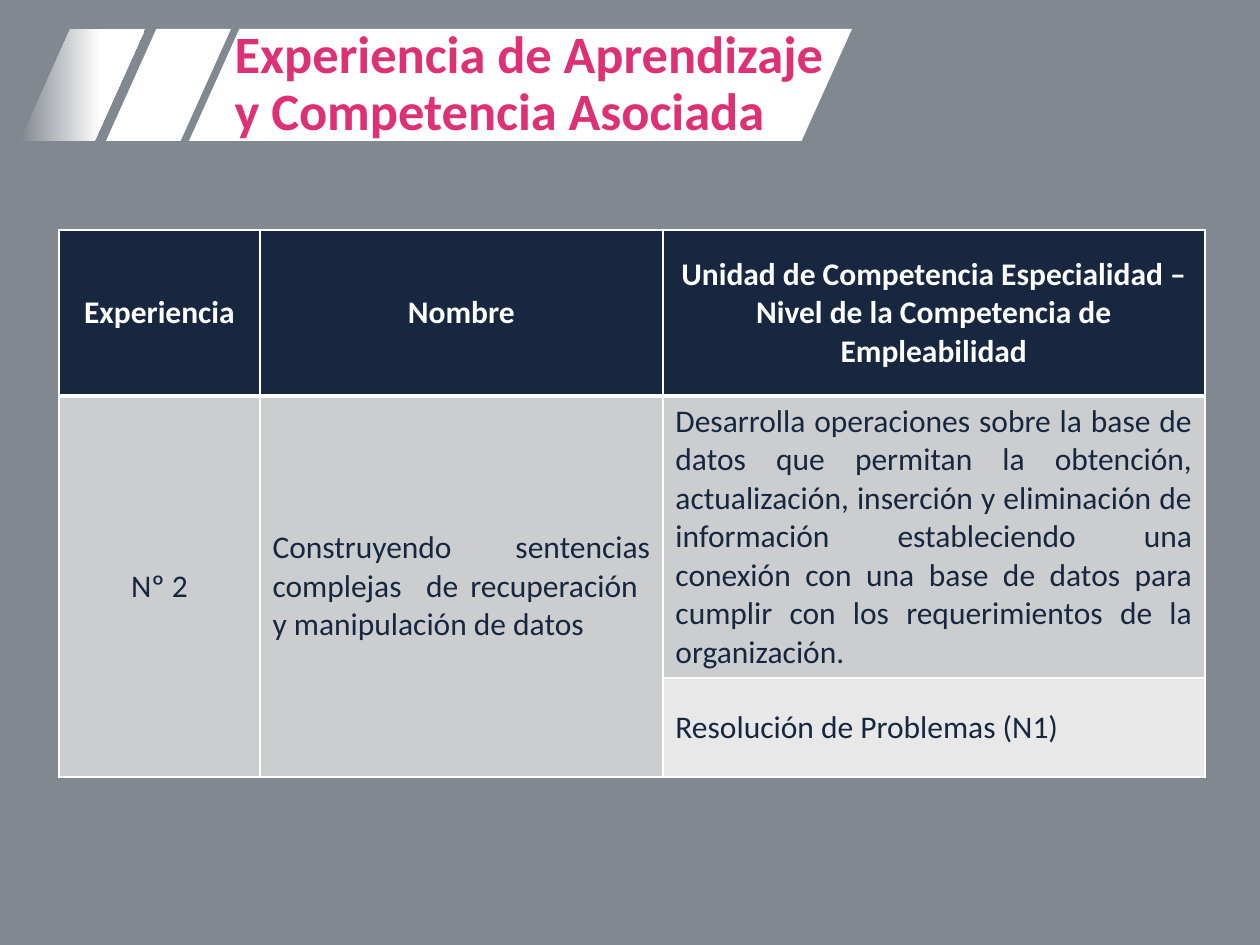
"""Build the slide on the learning experience and its associated competency."""
from copy import deepcopy
from dataclasses import dataclass

from lxml import etree
from pptx import Presentation
from pptx import util as u
from pptx.dml.color import RGBColor
from pptx.enum import shapes, text
from pptx.oxml.ns import qn

PX = 914400 // 126


@dataclass(frozen=True)
class Theme:
    font: str = "Calibri"
    title_size: int = 30
    body_size: int = 18
    slate: str = "81888F"
    white: str = "FFFFFF"
    pink: str = "DE3075"
    navy: str = "172740"
    band: str = "CCCDCF"
    light: str = "E8E8E8"


T = Theme()
rgb = RGBColor.from_string


def write(tf, content, size=T.body_size, color=T.navy, bold=False,
          align=text.PP_ALIGN.LEFT, spacing=None):
    p = tf.paragraphs[0]
    p.text = content
    p.alignment = align
    p.line_spacing = spacing
    for r in p.runs:
        r.font.name = T.font
        r.font.size = u.Pt(size)
        r.font.bold = bold
        r.font.color.rgb = rgb(color)
    for br in p._p.findall(qn("a:br")):
        br.insert(0, deepcopy(p.runs[0]._r.find(qn("a:rPr"))))


def add_border(cell, side, width):
    ln = etree.SubElement(cell._tc.get_or_add_tcPr(), qn(f"a:ln{side}"), w=str(u.Pt(width)))
    fill = etree.SubElement(ln, qn("a:solidFill"))
    etree.SubElement(fill, qn("a:srgbClr"), val=T.white)


prs = Presentation()
prs.slide_width, prs.slide_height = 1260 * PX, 945 * PX
s = prs.slides.add_slide(prs.slide_layouts[5])
s.background.fill.solid()
s.background.fill.fore_color.rgb = rgb(T.slate)

for left, width, fades in [(106, 125, False), (20, 125, True), (189, 663, False)]:
    sp = s.shapes.add_shape(shapes.MSO_SHAPE.PARALLELOGRAM,
                            left * PX, 29 * PX, width * PX, 112 * PX)
    sp.adjustments[0] = 0.45
    sp.shadow.inherit = False
    sp.line.fill.background()
    if fades:
        sp.fill.gradient()
        sp.fill.gradient_angle = 0
        for stop, color, position in zip(sp.fill.gradient_stops, (T.slate, T.white), (0, 0.65)):
            stop.color.rgb = rgb(color)
            stop.position = position
    else:
        sp.fill.solid()
        sp.fill.fore_color.rgb = rgb(T.white)

title = s.shapes.title
s.shapes._spTree.append(title._element)
title.left, title.top, title.width, title.height = 222 * PX, 29 * PX, 632 * PX, 112 * PX
tf = title.text_frame
tf.word_wrap = True
tf.auto_size = text.MSO_AUTO_SIZE.NONE
tf.vertical_anchor = text.MSO_ANCHOR.MIDDLE
write(tf, "Experiencia de Aprendizaje\vy Competencia Asociada",
      size=T.title_size, color=T.pink, bold=True, spacing=0.9)

col_widths = [201, 403, 542]
row_heights = [166, 282, 99]
rows = [
    ["Experiencia", "Nombre",
     "Unidad de Competencia Especialidad – Nivel de la Competencia de Empleabilidad"],
    ["Nº 2", "Construyendo sentencias complejas  de recuperación  y manipulación de datos",
     "Desarrolla operaciones sobre la base de datos que permitan la obtención, "
     "actualización, inserción y eliminación de información estableciendo una conexión "
     "con una base de datos para cumplir con los requerimientos de la organización."],
    ["", "", "Resolución de Problemas (N1)"],
]
table = s.shapes.add_table(len(rows), len(col_widths), 59 * PX, 230 * PX,
                           sum(col_widths) * PX, sum(row_heights) * PX).table
for column, width in zip(table.columns, col_widths):
    column.width = width * PX
for row, height in zip(table.rows, row_heights):
    row.height = height * PX
for j in (0, 1):
    table.cell(1, j).merge(table.cell(2, j))

for i, row in enumerate(rows):
    header = i == 0
    for j, content in enumerate(row):
        cell = table.cell(i, j)
        cell.vertical_anchor = text.MSO_ANCHOR.MIDDLE
        for side in "LRTB":
            add_border(cell, side, 3 if (i, side) in [(0, "B"), (1, "T")] else 1)
        cell.fill.solid()
        cell.fill.fore_color.rgb = rgb(T.navy if header else T.light if (i, j) == (2, 2) else T.band)
        if content:
            centred = header or j == 0
            write(cell.text_frame, content, color=T.white if header else T.navy, bold=header,
                  align=text.PP_ALIGN.CENTER if centred else text.PP_ALIGN.JUSTIFY)

prs.save("out.pptx")
